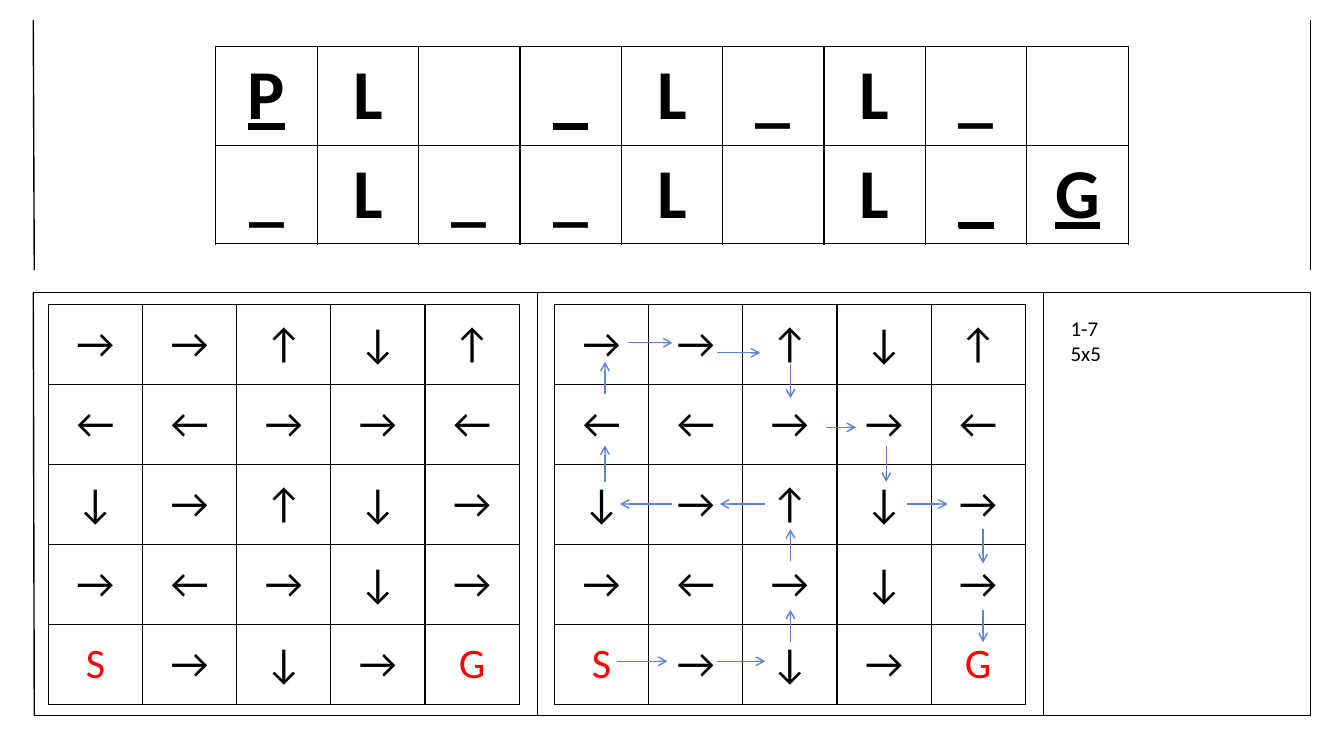
from dataclasses import dataclass

from lxml.etree import SubElement
from pptx import Presentation
from pptx.dml.color import RGBColor
from pptx.enum.shapes import MSO_CONNECTOR
from pptx.enum.text import MSO_ANCHOR, MSO_AUTO_SIZE, PP_ALIGN
from pptx.oxml import parse_xml
from pptx.oxml.ns import nsdecls, qn
from pptx.util import Inches, Pt


@dataclass(frozen=True)
class Theme:
    font: str = "Calibri"
    ink: str = "000000"
    paper: str = "FFFFFF"
    accent: str = "FF0000"
    route: str = "5E81D9"
    puzzle_size: int = 50
    maze_size: int = 30
    note_size: int = 15
    line_width: float = 1
    outline_width: float = 0.75


@dataclass(frozen=True)
class Line:
    x1: float
    y1: float
    x2: float
    y2: float


@dataclass(frozen=True)
class Grid:
    left: float
    top: float
    width: float
    height: float
    rows: tuple[str, ...]
    size: int
    bold: bool = False
    outlined: bool = False
    underlined: tuple[tuple[int, int], ...] = ()
    accented: tuple[tuple[int, int], ...] = ()


THEME = Theme()

FRAME = (
    Line(5.33, 2.9, 5.33, 7.1),
    Line(0.33, 2.9, 13, 2.9),
    Line(0.33, 0.2, 0.34, 2.68),
    Line(13, 0.2, 13, 2.68),
    Line(0.33, 2.9, 0.34, 7.1),
    Line(13, 2.9, 13, 7.1),
    Line(13, 7.1, 0.34, 7.1),
    Line(10.35, 2.9, 10.35, 7.1),
)

PUZZLE = Grid(
    2.14, 0.46, 9.05, 1.96, ("PL _L_L_ ", "_L__L L_G"), THEME.puzzle_size,
    bold=True, underlined=((0, 0), (0, 3), (1, 7), (1, 8)),
)

MAZE_ROWS = ("→→↑↓↑", "←←→→←", "↓→↑↓→", "→←→↓→", "S→↓→G")

MAZES = tuple(
    Grid(left, 3.02, 4.67, 3.97, MAZE_ROWS, THEME.maze_size,
         outlined=True, accented=((4, 0), (4, 4)))
    for left in (0.48, 5.5)
)

ROUTE = (
    Line(6.12, 6.56, 6.62, 6.56),
    Line(7.11, 6.56, 7.59, 6.56),
    Line(7.84, 6.37, 7.84, 6.05),
    Line(7.84, 5.57, 7.84, 5.25),
    Line(7.59, 5, 7.14, 5),
    Line(6.67, 5, 6.15, 5),
    Line(6, 4.78, 6, 4.42),
    Line(6, 3.91, 6, 3.59),
    Line(7.11, 3.5, 7.54, 3.5),
    Line(7.84, 3.61, 7.84, 3.95),
    Line(8.19, 4.24, 8.49, 4.24),
    Line(8.79, 4.42, 8.79, 4.78),
    Line(9, 5, 9.4, 5),
    Line(9.75, 5.25, 9.75, 5.59),
    Line(9.75, 6.05, 9.75, 6.37),
    Line(6.23, 3.4, 6.67, 3.4),
)


def line_xml(tag: str, color: str, width: float):
    return parse_xml(
        f'<a:{tag} {nsdecls("a")} w="{Pt(width)}"><a:solidFill>'
        f'<a:srgbClr val="{color}"/></a:solidFill></a:{tag}>'
    )


def add_text(p, text: str, *, size: int, color: str = THEME.ink, bold: bool = False,
             underline: bool = False, outlined: bool = False,
             align: PP_ALIGN = PP_ALIGN.LEFT) -> None:
    p.alignment = align
    r = p.add_run()
    r.text = text
    f = r.font
    f.name, f.size, f.bold, f.underline = THEME.font, Pt(size), bold, underline
    f.color.rgb = RGBColor.from_string(color)
    if outlined:
        r._r.get_or_add_rPr().insert(0, line_xml("ln", THEME.paper, THEME.outline_width))


def add_line(s, line: Line, color: str, arrow: bool = False) -> None:
    c = s.shapes.add_connector(
        MSO_CONNECTOR.STRAIGHT, Inches(line.x1), Inches(line.y1),
        Inches(line.x2), Inches(line.y2),
    )
    c.line.color.rgb = RGBColor.from_string(color)
    c.line.width = Pt(THEME.line_width)
    if arrow:
        SubElement(c.line._get_or_add_ln(), qn("a:tailEnd"), type="arrow")
    SubElement(c._element.spPr, qn("a:effectLst"))


def add_grid(s, grid: Grid) -> None:
    table = s.shapes.add_table(
        len(grid.rows), len(grid.rows[0]), Inches(grid.left), Inches(grid.top),
        Inches(grid.width), Inches(grid.height),
    ).table
    table.first_row = table.horz_banding = False
    for i, row in enumerate(grid.rows):
        for j, text in enumerate(row):
            cell = table.cell(i, j)
            cell.vertical_anchor = MSO_ANCHOR.MIDDLE
            cell.fill.solid()
            cell.fill.fore_color.rgb = RGBColor.from_string(THEME.paper)
            tcPr = cell._tc.get_or_add_tcPr()
            for k, side in enumerate(("lnL", "lnR", "lnT", "lnB")):
                tcPr.insert(k, line_xml(side, THEME.ink, THEME.line_width))
            if text != " ":
                add_text(
                    cell.text_frame.paragraphs[0], text, size=grid.size, bold=grid.bold,
                    color=THEME.accent if (i, j) in grid.accented else THEME.ink,
                    underline=(i, j) in grid.underlined, outlined=grid.outlined,
                    align=PP_ALIGN.CENTER,
                )


def add_note(s, lines: tuple[str, ...]) -> None:
    tf = s.shapes.add_textbox(Inches(10.52), Inches(3.08), Inches(2.36), Inches(0.84)).text_frame
    tf.word_wrap = True
    tf.auto_size = MSO_AUTO_SIZE.SHAPE_TO_FIT_TEXT
    for i, text in enumerate(lines):
        p = tf.add_paragraph() if i else tf.paragraphs[0]
        add_text(p, text, size=THEME.note_size)


def main() -> None:
    prs = Presentation()
    prs.slide_width, prs.slide_height = Inches(13.33), Inches(7.5)
    s = prs.slides.add_slide(prs.slide_layouts[6])
    for line in FRAME:
        add_line(s, line, THEME.ink)
    add_note(s, ("1-7", "5x5"))
    for grid in (PUZZLE, *MAZES):
        add_grid(s, grid)
    for line in ROUTE:
        add_line(s, line, THEME.route, arrow=True)
    prs.save("out.pptx")


if __name__ == "__main__":
    main()
